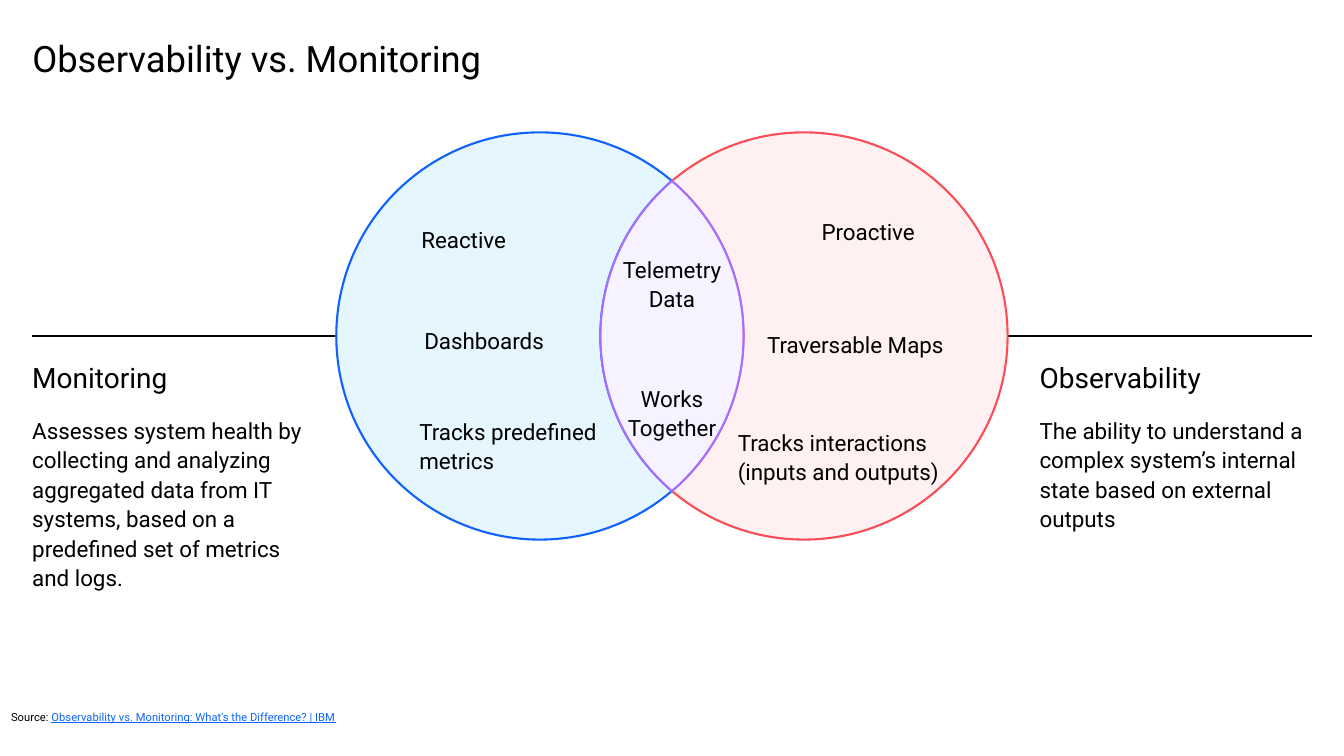
import math

import pptx
import pptx.dml.color
import pptx.enum.shapes
import pptx.enum.text
import pptx.oxml
import pptx.util
from pptx.dml.color import RGBColor

BLACK = RGBColor(0x00, 0x00, 0x00)
BLUE = RGBColor(0x0F, 0x62, 0xFE)
PALE_BLUE = RGBColor(0xE5, 0xF6, 0xFF)
RED = RGBColor(0xFA, 0x4D, 0x56)
PALE_RED = RGBColor(0xFF, 0xF1, 0xF1)
PURPLE = RGBColor(0xA5, 0x6E, 0xFF)
PALE_PURPLE = RGBColor(0xF6, 0xF2, 0xFF)

TITLE = "Observability vs. Monitoring"
SOURCE = ("Source: ", "Observability vs. Monitoring: What's the Difference? | IBM")
MONITORING = (
    "Monitoring",
    "Assesses system health by collecting and analyzing aggregated data from IT "
    "systems, based on a predefined set of metrics and logs.",
)
OBSERVABILITY = (
    "Observability",
    "The ability to understand a complex system’s internal state based on external outputs",
)
SHARED = ("Telemetry Data", "Works Together")
TRAITS = [
    ("Proactive", 8.15, 2.14, 2.71),
    ("Reactive", 4.18, 2.22, 2.71),
    ("Dashboards", 4.21, 3.22, 2.71),
    ("Traversable Maps", 7.61, 3.26, 2.71),
    ("Tracks predefined metrics", 4.16, 4.12, 2.14),
    ("Tracks interactions (inputs and outputs)", 7.32, 4.23, 2.2),
]

HEIGHT = 7.5
WIDTH = HEIGHT * 16 / 9
MARGIN = 0.32
COLUMN = 2.7
BODY_HEIGHT = 2.81
MIDDLE_X, MIDDLE_Y = WIDTH / 2, HEIGHT * 4 / 9
RADIUS, OFFSET = 2.02, 1.31
CROSSING = math.acos(OFFSET / RADIUS)
LEFT, RIGHT = -1, 1
PI = math.pi
QUARTER = PI / 2

INNER_LEFT = (RIGHT, PI + CROSSING, PI - CROSSING)
INNER_RIGHT = (LEFT, CROSSING, -CROSSING)
VENN = [
    ([(LEFT, CROSSING, 2 * PI - CROSSING), INNER_LEFT], PALE_BLUE, BLUE),
    ([(RIGHT, PI + CROSSING, 3 * PI - CROSSING), INNER_RIGHT], PALE_RED, RED),
    ([INNER_LEFT, INNER_RIGHT], PALE_PURPLE, PURPLE),
]


def set_values(target, values):
    for name, value in values.items():
        setattr(target, name, value)


def add_text(page, place, paragraphs, gap=14.5, align="LEFT", anchor="TOP"):
    frame = page.shapes.add_textbox(*map(pptx.util.Inches, place)).text_frame
    set_values(frame, {
        "margin_left": 0, "margin_right": 0, "margin_top": 0, "margin_bottom": 0,
        "word_wrap": True,
        "vertical_anchor": getattr(pptx.enum.text.MSO_ANCHOR, anchor),
    })
    for index, spans in enumerate(paragraphs):
        para = frame.add_paragraph() if index else frame.paragraphs[0]
        set_values(para, {
            "line_spacing": 1.1,
            "alignment": getattr(pptx.enum.text.PP_ALIGN, align),
        })
        if index:
            para.space_before = pptx.util.Pt(gap)
        for text, size, color, underline in spans:
            span = para.add_run()
            span.text = text
            set_values(span.font, {
                "name": "Roboto", "size": pptx.util.Pt(size), "underline": underline,
            })
            span.font.color.rgb = color


def plain(text, size=16):
    return [(text, size, BLACK, None)]


def add_rule(page, start, end):
    rule = page.shapes.add_connector(
        pptx.enum.shapes.MSO_CONNECTOR.STRAIGHT,
        *map(pptx.util.Inches, (start, MIDDLE_Y, end, MIDDLE_Y)),
    )
    rule.line.color.rgb = BLACK
    rule.line.width = pptx.util.Pt(1)
    properties = rule._element.spPr
    properties.append(properties.makeelement(pptx.oxml.ns.qn("a:effectLst"), {}))


def circle_point(side, angle, handle=0):
    x = math.cos(angle) - handle * math.sin(angle)
    y = math.sin(angle) + handle * math.cos(angle)
    return (
        pptx.util.Inches(MIDDLE_X + side * OFFSET + RADIUS * x),
        pptx.util.Inches(MIDDLE_Y + RADIUS * y),
    )


def curve_points(side, start, end):
    low, high = sorted((start, end))
    turns = range(math.floor(low / QUARTER) + 1, math.ceil(high / QUARTER))
    stops = sorted([low, high] + [turn * QUARTER for turn in turns], reverse=start > end)
    for first, last in zip(stops, stops[1:]):
        handle = math.tan((last - first) / 4) * 4 / 3
        yield circle_point(side, first, handle)
        yield circle_point(side, last, -handle)
        yield circle_point(side, last)


def bend_segments(region):
    outline = next(region._element.iter(pptx.oxml.ns.qn("a:path")))
    segments = outline.findall(pptx.oxml.ns.qn("a:lnTo"))
    for index in range(0, len(segments), 3):
        curve = outline.makeelement(pptx.oxml.ns.qn("a:cubicBezTo"), {})
        segments[index].addprevious(curve)
        for segment in segments[index:index + 3]:
            curve.append(segment[0])
            outline.remove(segment)


def add_region(page, arcs, fill, line):
    side, start, _ = arcs[0]
    builder = page.shapes.build_freeform(*circle_point(side, start))
    builder.add_line_segments([point for arc in arcs for point in curve_points(*arc)])
    region = builder.convert_to_shape()
    bend_segments(region)
    region.shadow.inherit = False
    region.fill.solid()
    region.fill.fore_color.rgb = fill
    region.line.color.rgb = line
    region.line.width = pptx.util.Pt(1.5)


def main():
    deck = pptx.Presentation()
    deck.slide_width = pptx.util.Inches(WIDTH)
    deck.slide_height = pptx.util.Inches(HEIGHT)
    page = deck.slides.add_slide(deck.slide_layouts[6])

    reach = OFFSET + RADIUS
    add_rule(page, MIDDLE_X + reach, WIDTH - MARGIN)
    add_rule(page, MARGIN, MIDDLE_X - reach)
    add_text(page, (MARGIN, 0.32, 5.32, 0.84), [plain(TITLE, 26)])
    label, reference = SOURCE
    add_text(page, (0.11, 6.97, 3.42, 0.21),
             [plain(label, 8) + [(reference, 8, BLUE, True)]], anchor="BOTTOM")

    for region in VENN:
        add_region(page, *region)

    for left, (heading, body) in (
        (WIDTH - MARGIN - COLUMN, OBSERVABILITY),
        (MARGIN, MONITORING),
    ):
        add_text(page, (left, 3.54, COLUMN, BODY_HEIGHT), [plain(heading, 20), plain(body)])

    for text, left, top, width in TRAITS:
        add_text(page, (left, top, width, BODY_HEIGHT), [plain(text)])
    add_text(page, (MIDDLE_X - 0.62, 2.51, 1.24, BODY_HEIGHT),
             [plain(text) for text in SHARED], gap=50, align="CENTER")

    deck.save("out.pptx")


if __name__ == "__main__":
    main()
